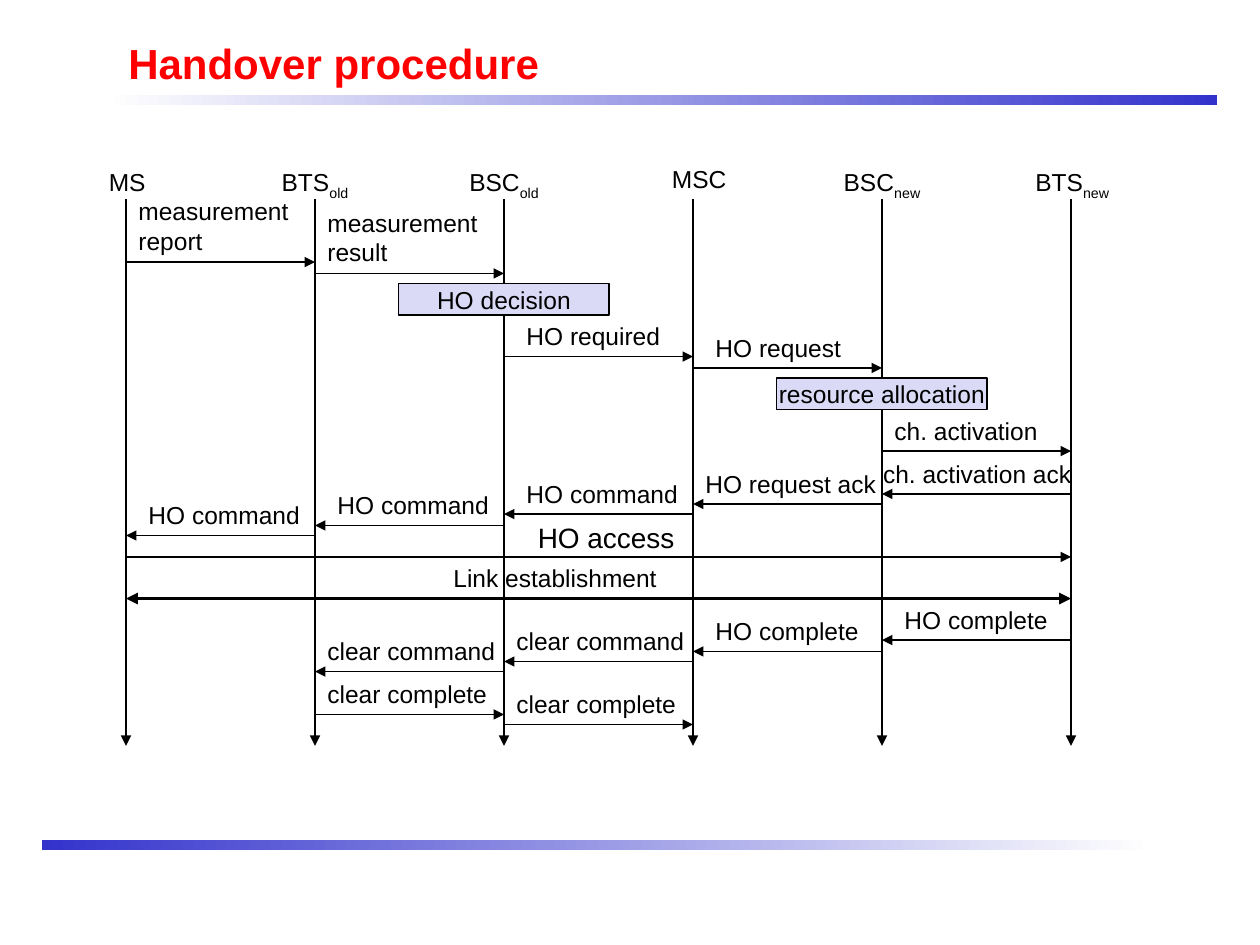
from pptx import Presentation
from pptx.dml.color import RGBColor
from pptx.enum.shapes import MSO_CONNECTOR, MSO_SHAPE
from pptx.enum.text import MSO_ANCHOR, MSO_AUTO_SIZE, PP_ALIGN
from pptx.oxml.ns import qn
from pptx.util import Inches, Pt
from lxml import etree

RECT = MSO_SHAPE.RECTANGLE
STRAIGHT = MSO_CONNECTOR.STRAIGHT
LEFT, CENTER = PP_ALIGN.LEFT, PP_ALIGN.CENTER
MIDDLE = MSO_ANCHOR.MIDDLE
GROW = MSO_AUTO_SIZE.SHAPE_TO_FIT_TEXT

BLACK, RED, BLUE, WHITE, LAVENDER = "000000", "FF0000", "3333CC", "FFFFFF", "DADAF6"
FONT = "Arial"
FIRST_LANE, LANE_GAP = 1, 1.5
LANE_TOP, LANE_BOTTOM = 1.58, 5.92
LINE_HEIGHT, LABEL_INSETS, LABEL_RISE = 0.24, 0.1, 0.09
SIDE_INSETS = {LEFT: (0.1, 0.02), CENTER: (0.05, 0.05)}

TITLE = "Handover procedure"
RULES = [(0.83, 0.75, WHITE, BLUE), (0.33, 6.67, BLUE, WHITE)]

STATIONS = [
    ("MS", "", 1.01, 1.28, 0.49, 0.34),
    ("BTS", "old", 2.5, 1.28, 0.73, 0.37),
    ("BSC", "old", 4, 1.28, 0.75, 0.37),
    ("MSC", "", 5.55, 1.25, 0.63, 0.34),
    ("BSC", "new", 7, 1.28, 0.81, 0.37),
    ("BTS", "new", 8.51, 1.28, 0.78, 0.37),
]
MS, BTS_OLD, BSC_OLD, MSC, BSC_NEW, BTS_NEW = range(len(STATIONS))

MESSAGES = [
    (MS, BTS_OLD, 2.08, "measurement\nreport", 0, 1.39),
    (BTS_OLD, BSC_OLD, 2.17, "measurement\nresult", 0, 1.39),
    (BSC_OLD, MSC, 2.83, "HO required", 0.08, 1.26),
    (MSC, BSC_NEW, 2.92, "HO request", 0.08, 1.19),
    (BSC_NEW, BTS_NEW, 3.58, "ch. activation", 0, 1.34),
    (BTS_NEW, BSC_NEW, 3.92, "ch. activation ack", -0.09, 1.69),
    (BSC_NEW, MSC, 4, "HO request ack", 0, 1.55),
    (MSC, BSC_OLD, 4.08, "HO command", 0.08, 1.4),
    (BSC_OLD, BTS_OLD, 4.17, "HO command", 0.08, 1.4),
    (BTS_OLD, MS, 4.25, "HO command", 0.08, 1.4),
    (BTS_NEW, BSC_NEW, 5.08, "HO complete", 0.08, 1.34),
    (BSC_NEW, MSC, 5.17, "HO complete", 0.08, 1.34),
    (MSC, BSC_OLD, 5.25, "clear command", 0, 1.53),
    (BSC_OLD, BTS_OLD, 5.33, "clear command", 0, 1.53),
    (BTS_OLD, BSC_OLD, 5.67, "clear complete", 0, 1.47),
    (BSC_OLD, MSC, 5.75, "clear complete", 0, 1.47),
]
ACTIONS = [(BSC_OLD, 2.25, "HO decision"), (BSC_NEW, 3, "resource allocation")]
ACTION_WIDTH, ACTION_HEIGHT = 1.67, 0.25


def rgb(value):
    return RGBColor.from_string(value)


def lane_x(station):
    return FIRST_LANE + station * LANE_GAP


def style(run, size, color=BLACK, bold=False):
    run.font.name = FONT
    run.font.size = Pt(size)
    run.font.bold = bold
    run.font.color.rgb = rgb(color)


def write(frame, text, size=14, align=LEFT):
    frame.word_wrap = False
    frame.margin_left, frame.margin_right = map(Inches, SIDE_INSETS[align])
    frame.text = text
    for paragraph in frame.paragraphs:
        paragraph.alignment = align
        for run in paragraph.runs:
            style(run, size)


def add_label(slide, text, left, top, width, height, size=14, align=LEFT):
    label = slide.shapes.add_textbox(Inches(left), Inches(top), Inches(width), Inches(height))
    write(label.text_frame, text, size, align)
    label.text_frame.auto_size = GROW
    return label


def add_arrow(slide, x1, y1, x2, y2, ends=("tailEnd",), weight=0.75):
    arrow = slide.shapes.add_connector(STRAIGHT, Inches(x1), Inches(y1), Inches(x2), Inches(y2))
    arrow.line.color.rgb = rgb(BLACK)
    arrow.line.width = Pt(weight)
    line = arrow.line._get_or_add_ln()
    for end in ends:
        etree.SubElement(line, qn("a:" + end), type="triangle")
    etree.SubElement(arrow._element.spPr, qn("a:effectLst"))


def add_rect(slide, left, top, width, height):
    rect = slide.shapes.add_shape(RECT, Inches(left), Inches(top), Inches(width), Inches(height))
    rect.shadow.inherit = False
    return rect


def add_frame(slide):
    for left, top, start, end in RULES:
        rule = add_rect(slide, left, top, 8.83, 0.08)
        rule.line.fill.background()
        rule.fill.gradient()
        rule.fill.gradient_angle = 0
        for stop, color in zip(rule.fill.gradient_stops, (start, end)):
            stop.color.rgb = rgb(color)
    title = slide.shapes.add_textbox(Inches(0.92), Inches(0.25), Inches(8.5), Inches(0.5))
    title.text_frame.word_wrap = True
    title.text_frame.vertical_anchor = MIDDLE
    title.text_frame.text = TITLE
    style(title.text_frame.paragraphs[0].runs[0], 24, RED, bold=True)


def add_stations(slide):
    for station, (name, subscript, center, top, width, height) in enumerate(STATIONS):
        add_arrow(slide, lane_x(station), LANE_TOP, lane_x(station), LANE_BOTTOM)
        label = add_label(slide, name, center - width / 2, top, width, height, align=CENTER)
        if subscript:
            run = label.text_frame.paragraphs[0].add_run()
            run.text = subscript
            style(run, 14)
            run.font._element.set("baseline", "-25000")


def add_messages(slide):
    for sender, receiver, y, text, indent, width in MESSAGES:
        left, right = sorted((lane_x(sender), lane_x(receiver)))
        end = "tailEnd" if sender < receiver else "headEnd"
        add_arrow(slide, left, y, right, y, (end,))
        text_height = LINE_HEIGHT * len(text.split("\n"))
        top = y - LABEL_RISE - text_height
        add_label(slide, text, left + indent, top, width, text_height + LABEL_INSETS)


def add_actions(slide):
    for station, top, text in ACTIONS:
        box = add_rect(slide, lane_x(station) - ACTION_WIDTH / 2, top, ACTION_WIDTH, ACTION_HEIGHT)
        box.fill.solid()
        box.fill.fore_color.rgb = rgb(LAVENDER)
        box.line.color.rgb = rgb(BLACK)
        box.line.width = Pt(0.75)
        box.text_frame.vertical_anchor = MIDDLE
        write(box.text_frame, text, align=CENTER)


def add_radio_link(slide):
    first, last = lane_x(MS), lane_x(BTS_NEW)
    add_arrow(slide, first, 4.42, last, 4.42)
    add_label(slide, "HO access", 4.17, 4.08, 1.28, 0.37, size=16)
    add_arrow(slide, first, 4.75, last, 4.75, ("headEnd", "tailEnd"), 2.25)
    add_label(slide, "Link establishment", 3.5, 4.42, 1.81, 0.34)


def main():
    deck = Presentation()
    deck.slide_width, deck.slide_height = Inches(10), Inches(7.5)
    slide = deck.slides.add_slide(deck.slide_layouts[6])
    add_frame(slide)
    add_stations(slide)
    add_messages(slide)
    add_actions(slide)
    add_radio_link(slide)
    deck.save("out.pptx")


if __name__ == "__main__":
    main()
